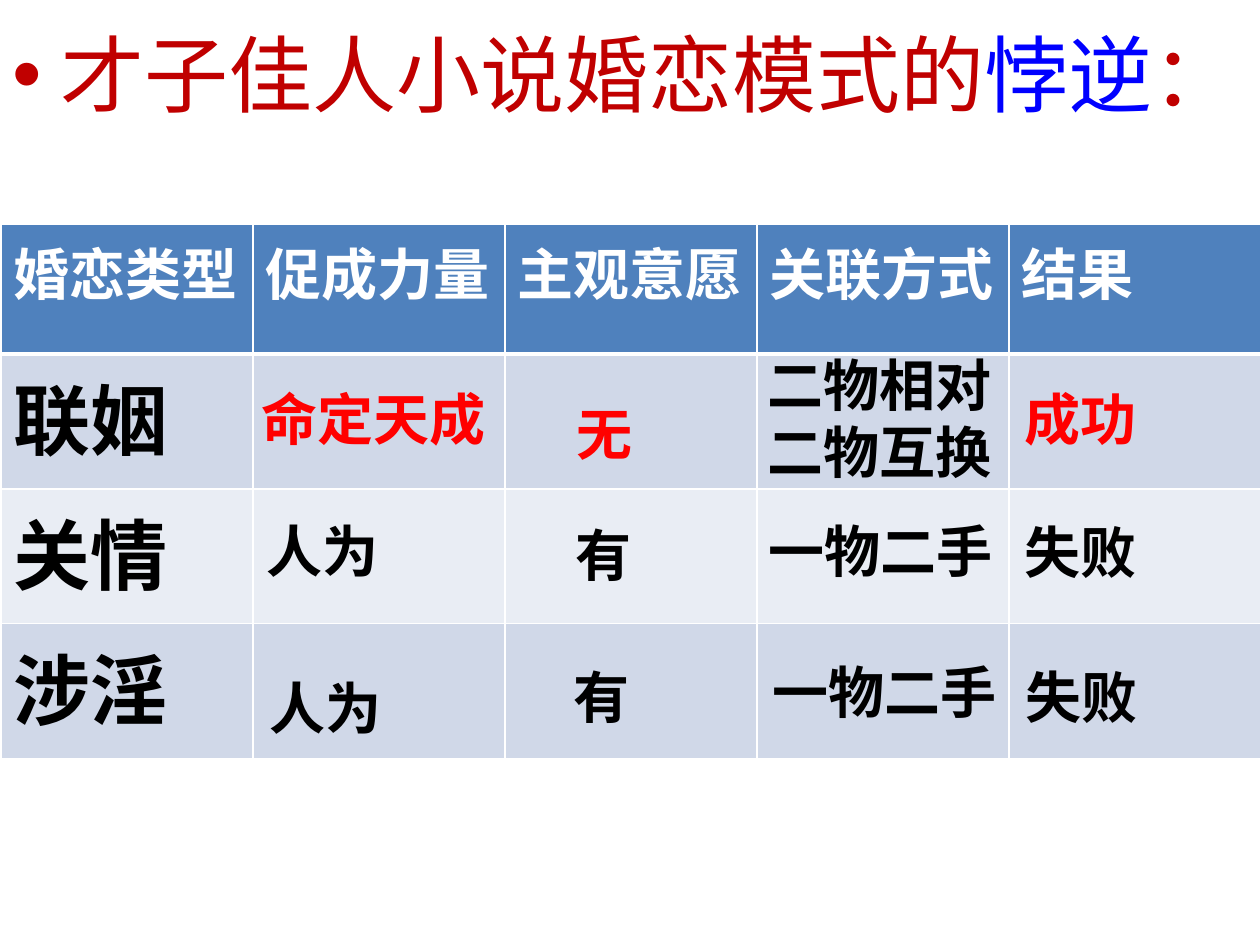
from lxml.etree import SubElement
from pptx import Presentation
from pptx.dml.color import RGBColor
from pptx.enum.lang import MSO_LANGUAGE_ID
from pptx.enum.text import MSO_ANCHOR, MSO_AUTO_SIZE, PP_ALIGN
from pptx.oxml.ns import qn
from pptx.util import Inches, Pt

WIDTH, HEIGHT = 10, 7.5
COLUMN = WIDTH / 5
TABLE_LEFT, TABLE_TOP = 0.01, 1.78
HEADER_HEIGHT, ROW_HEIGHT = 1.03, 1.07
LINE_HEIGHT, INSET = 0.54, 0.05

COLORS = {
    "heading": "C00000", "accent": "0000FF", "header": "4F81BD",
    "odd_row": "D0D8E8", "even_row": "E9EDF4",
    "white": "FFFFFF", "black": "000000", "red": "FF0000",
}
HEADINGS = ["婚恋类型", "促成力量", "主观意愿", "关联方式", "结果"]
TYPES = ["联姻", "关情", "涉淫"]

# For each type: lines, column, offset from column and row edges, width, colour
ENTRIES = [
    [(["命定天成"], 1, -0.02, 0.19, 2.05, "red"),
     (["无"], 2, 0.48, 0.31, 1.04, "red"),
     (["二物相对", "二物互换"], 3, -0.01, -0.08, 2.05, "black"),
     (["成功"], 4, 0.03, 0.19, 2.05, "red")],
    [(["人为"], 1, 0.02, 0.17, 1.76, "black"),
     (["有"], 2, 0.47, 0.2, 0.87, "black"),
     (["一物二手"], 3, 0, 0.17, 2.05, "black"),
     (["失败"], 4, 0.03, 0.18, 2.05, "black")],
    [(["人为"], 1, 0.04, 0.35, 2.05, "black"),
     (["有"], 2, 0.45, 0.26, 0.62, "black"),
     (["一物二手"], 3, 0.03, 0.22, 2.05, "black"),
     (["失败"], 4, 0.04, 0.26, 2.05, "black")],
]


def rgb(name):
    return RGBColor.from_string(COLORS[name])


def add_run(paragraph, text, size, color, bold=True, typeface="Calibri"):
    run = paragraph.add_run()
    run.text = text
    font = run.font
    font.size, font.bold, font.name = Pt(size), bold, typeface
    font.color.rgb = rgb(color)
    font.language_id = MSO_LANGUAGE_ID.SIMPLIFIED_CHINESE
    return run


def add_bullet(paragraph, indent):
    properties = paragraph._p.get_or_add_pPr()
    properties.set("marL", str(Inches(indent)))
    properties.set("indent", str(-Inches(indent)))
    SubElement(properties, qn("a:buFont"), typeface="Arial")
    SubElement(properties, qn("a:buChar"), char="•")


def set_title(slide):
    title = slide.shapes.title
    title.left, title.top = 0, Inches(0.13)
    title.width, title.height = Inches(WIDTH), Inches(7.17)
    frame = title.text_frame
    frame.vertical_anchor = MSO_ANCHOR.TOP
    frame.auto_size = MSO_AUTO_SIZE.NONE
    frame.word_wrap = True
    paragraph = frame.paragraphs[0]
    paragraph.alignment = PP_ALIGN.LEFT
    add_bullet(paragraph, 0.38)
    typeface = "Noto Sans CJK SC"
    for text, color in [("才子佳人小说婚恋模式的", "heading"),
                        ("悖逆", "accent"), ("：", "heading")]:
        run = add_run(paragraph, text, 48, color, False, typeface)
        SubElement(run.font._element, qn("a:ea"), typeface=typeface)


def style_cell(cell, fill, bottom_width=1):
    """Give the cell white borders and a solid fill."""
    properties = cell._tc.get_or_add_tcPr()
    for side, width in [("L", 1), ("R", 1), ("T", 1), ("B", bottom_width)]:
        line = SubElement(properties, qn(f"a:ln{side}"), w=str(Pt(width)))
        solid = SubElement(line, qn("a:solidFill"))
        SubElement(solid, qn("a:srgbClr"), val=COLORS["white"])
    cell.fill.solid()
    cell.fill.fore_color.rgb = rgb(fill)


def add_marriage_table(slide):
    row_count = len(TYPES) + 1
    table = slide.shapes.add_table(
        row_count, len(HEADINGS), Inches(TABLE_LEFT), Inches(TABLE_TOP),
        Inches(WIDTH), Inches(HEADER_HEIGHT + ROW_HEIGHT * len(TYPES))).table
    for column in table.columns:
        column.width = Inches(COLUMN)
    for index, row in enumerate(table.rows):
        row.height = Inches(ROW_HEIGHT if index else HEADER_HEIGHT)
        fill = "odd_row" if index % 2 else "even_row"
        for cell in row.cells:
            style_cell(cell, fill if index else "header", 1 if index else 3)
    for index, heading in enumerate(HEADINGS):
        add_run(table.cell(0, index).text_frame.paragraphs[0],
                heading, 32, "white")
    for index, marriage_type in enumerate(TYPES, 1):
        add_run(table.cell(index, 0).text_frame.paragraphs[0],
                marriage_type, 44, "black")


def add_entry(slide, row, lines, column, dx, dy, width, color):
    """Place an entry over its table cell."""
    top = TABLE_TOP + HEADER_HEIGHT + row * ROW_HEIGHT + dy
    height = LINE_HEIGHT * len(lines) + 2 * INSET
    frame = slide.shapes.add_textbox(
        Inches(column * COLUMN + dx), Inches(top),
        Inches(width), Inches(height)).text_frame
    frame.word_wrap = True
    frame.auto_size = MSO_AUTO_SIZE.SHAPE_TO_FIT_TEXT
    for index, line in enumerate(lines):
        paragraph = frame.add_paragraph() if index else frame.paragraphs[0]
        add_run(paragraph, line, 32, color)


def main():
    presentation = Presentation()
    presentation.slide_width = Inches(WIDTH)
    presentation.slide_height = Inches(HEIGHT)
    slide = presentation.slides.add_slide(presentation.slide_layouts[5])
    set_title(slide)
    add_marriage_table(slide)
    for row, entries in enumerate(ENTRIES):
        for entry in entries:
            add_entry(slide, row, *entry)
    presentation.save("out.pptx")


if __name__ == "__main__":
    main()
